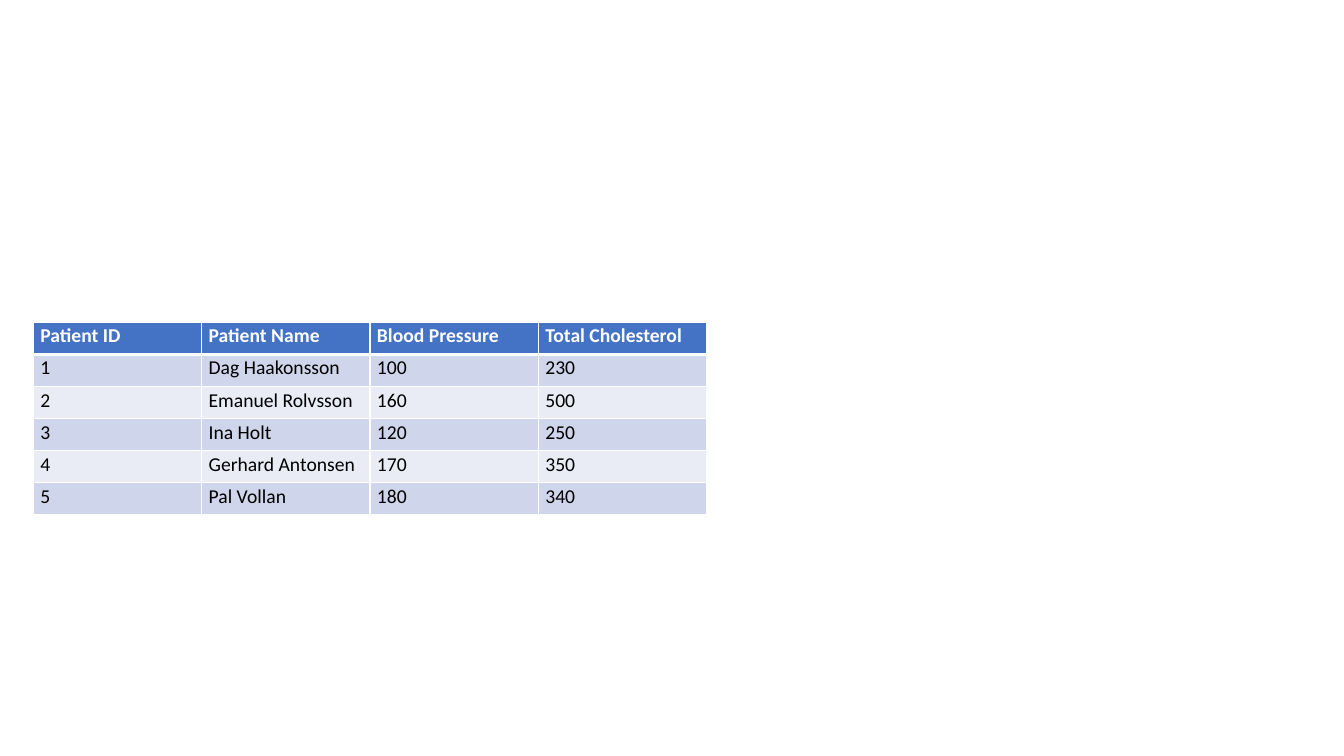
from dataclasses import astuple, dataclass

from lxml.etree import SubElement
from pptx import Presentation
from pptx.dml.color import RGBColor
from pptx.oxml.ns import qn
from pptx.table import _Cell
from pptx.util import Inches, Pt

COLORS = {
    "header": "4472C4",
    "odd_row": "CFD5EA",
    "even_row": "E9EBF5",
    "border": "FFFFFF",
    "header_text": "FFFFFF",
    "body_text": "000000",
}
HEADINGS = ("Patient ID", "Patient Name", "Blood Pressure", "Total Cholesterol")
THIN, THICK = Pt(1), Pt(3)


@dataclass(frozen=True)
class Patient:
    """One patient's measurements, in column order."""

    identifier: int
    name: str
    blood_pressure: int
    total_cholesterol: int


@dataclass(frozen=True)
class RowStyle:
    """Look shared by all cells of a row."""

    fill: str
    text: str
    bold: bool = False
    top: int = THIN
    bottom: int = THIN


PATIENTS = (
    Patient(1, "Dag Haakonsson", 100, 230),
    Patient(2, "Emanuel Rolvsson", 160, 500),
    Patient(3, "Ina Holt", 120, 250),
    Patient(4, "Gerhard Antonsen", 170, 350),
    Patient(5, "Pal Vollan", 180, 340),
)


def row_style(row: int) -> RowStyle:
    """Choose the header style or one of the alternating body styles."""
    if row == 0:
        return RowStyle("header", "header_text", bold=True, bottom=THICK)
    fill = "odd_row" if row % 2 else "even_row"
    return RowStyle(fill, "body_text", top=THICK if row == 1 else THIN)


def add_borders(cell: _Cell, style: RowStyle) -> None:
    """Draw the four cell borders; call before setting the fill."""
    properties = cell._tc.get_or_add_tcPr()
    widths = {"lnL": THIN, "lnR": THIN, "lnT": style.top, "lnB": style.bottom}
    for side, width in widths.items():
        line = SubElement(properties, qn(f"a:{side}"), w=str(int(width)))
        fill = SubElement(line, qn("a:solidFill"))
        SubElement(fill, qn("a:srgbClr"), val=COLORS["border"])


def fill_cell(cell: _Cell, text: str, style: RowStyle) -> None:
    """Write and format one table cell."""
    add_borders(cell, style)
    cell.fill.solid()
    cell.fill.fore_color.rgb = RGBColor.from_string(COLORS[style.fill])
    cell.margin_left = cell.margin_right = Inches(0.07)
    cell.margin_top = cell.margin_bottom = Inches(0)
    paragraph = cell.text_frame.paragraphs[0]
    paragraph.line_spacing = 1.07
    run = paragraph.add_run()
    run.text = text
    run.font.name = "Calibri"
    run.font.size = Pt(14)
    run.font.bold = style.bold
    run.font.color.rgb = RGBColor.from_string(COLORS[style.text])


presentation = Presentation()
presentation.slide_width = Inches(13.33)
presentation.slide_height = Inches(7.5)
slide = presentation.slides.add_slide(presentation.slide_layouts[6])

rows = [HEADINGS, *map(astuple, PATIENTS)]
patient_table = slide.shapes.add_table(
    len(rows), len(HEADINGS), Inches(0.33), Inches(3.2), Inches(6.68), Inches(1.91)
).table
for row_index, values in enumerate(rows):
    for column_index, value in enumerate(values):
        fill_cell(patient_table.cell(row_index, column_index), str(value), row_style(row_index))

presentation.save("out.pptx")
